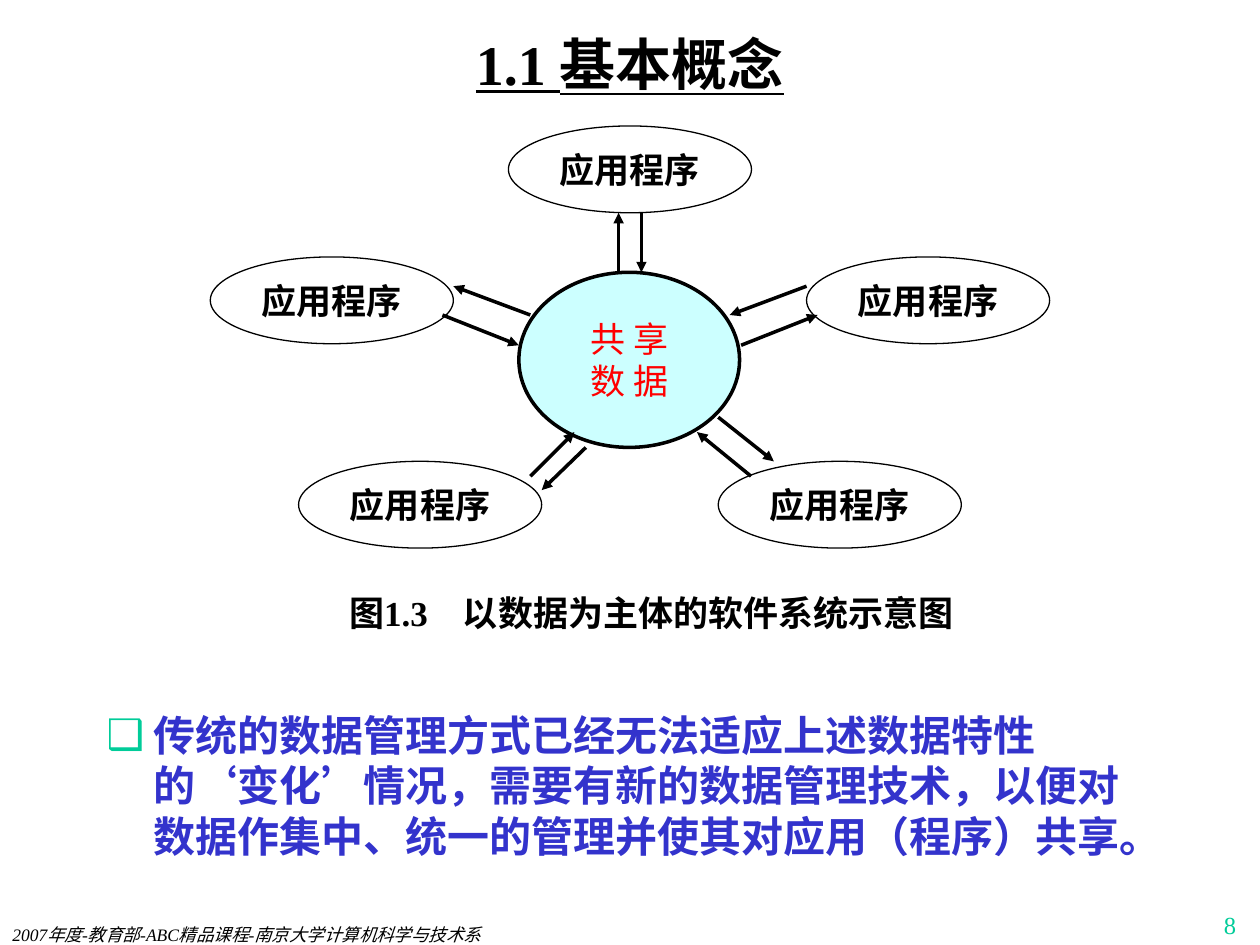
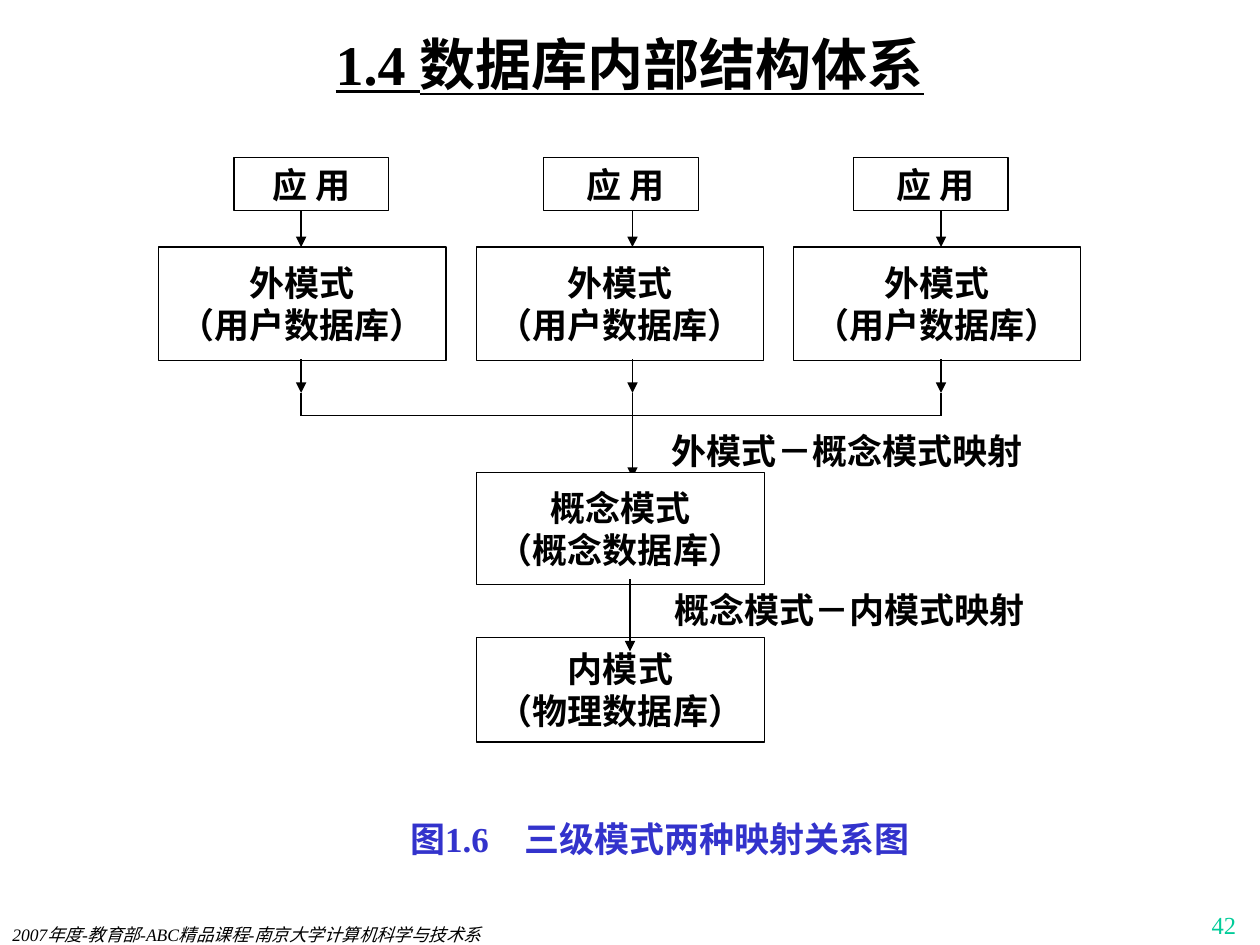
"""Build two database course slides: shared data diagram and three-level schema diagram."""
from lxml import etree
from pptx import Presentation
from pptx.dml.color import RGBColor
from pptx.enum.shapes import MSO_CONNECTOR, MSO_SHAPE
from pptx.enum.text import MSO_ANCHOR, MSO_AUTO_SIZE, PP_ALIGN
from pptx.oxml.ns import qn
from pptx.util import Cm, Pt

STRAIGHT = MSO_CONNECTOR.STRAIGHT
OVAL, RECT = MSO_SHAPE.OVAL, MSO_SHAPE.RECTANGLE
TOP, MIDDLE = MSO_ANCHOR.TOP, MSO_ANCHOR.MIDDLE
LEFT, CENTER, RIGHT = PP_ALIGN.LEFT, PP_ALIGN.CENTER, PP_ALIGN.RIGHT
NO_FIT = MSO_AUTO_SIZE.NONE

BLACK, WHITE, RED = "000000", "FFFFFF", "FF0000"
BLUE, GREEN, CYAN = "3333CC", "00CC99", "CCFFFF"
LATIN, HAN = "Times New Roman", "Noto Sans CJK SC"
FOOTER = "2007年度-教育部-ABC精品课程-南京大学计算机科学与技术系"


def put(sp, place, text, size=20, color=BLACK, align=CENTER, anchor=MIDDLE,
        margins=(0.25, 0.13), indent=0, fill=None, line=0.75, font=LATIN, **style):
    """Place a shape and write its formatted text."""
    sp.left, sp.top, sp.width, sp.height = [Cm(v) for v in place]
    if fill:
        sp.shadow.inherit = False
        sp.fill.solid()
        sp.fill.fore_color.rgb = RGBColor.from_string(fill)
        sp.line.color.rgb = RGBColor.from_string(BLACK)
        sp.line.width = Pt(line)
    side, edge = [Cm(v) for v in margins]
    tf = sp.text_frame
    frame = {"word_wrap": True, "auto_size": NO_FIT, "vertical_anchor": anchor,
             "margin_left": side + Cm(indent), "margin_right": side,
             "margin_top": edge, "margin_bottom": edge}
    for key, value in frame.items():
        setattr(tf, key, value)
    tf.text = text
    for p in tf.paragraphs:
        layout = {"alignment": align, "line_spacing": Pt(size * 1.2), "space_before": Pt(0)}
        for key, value in layout.items():
            setattr(p, key, value)
        r = p.runs[0]
        for key, value in {"name": font, "size": Pt(size), **style}.items():
            setattr(r.font, key, value)
        r.font.color.rgb = RGBColor.from_string(color)
        latin = r.font._element.find(qn("a:latin"))
        latin.addnext(latin.makeelement(qn("a:ea"), {"typeface": HAN}))
    return tf


def connect(s, x1, y1, x2, y2, width=0.75, arrow=True):
    """Draw a black line, with an arrowhead at its end if asked."""
    c = s.shapes.add_connector(STRAIGHT, Cm(x1), Cm(y1), Cm(x2), Cm(y2))
    c.line.color.rgb = RGBColor.from_string(BLACK)
    c.line.width = Pt(width)
    if arrow:
        etree.SubElement(c.line._get_or_add_ln(), qn("a:tailEnd"), type="triangle")
    etree.SubElement(c._element.spPr, qn("a:effectLst"))


prs = Presentation()
prs.slide_width, prs.slide_height = Cm(25.4), Cm(19.05)
zero = (0, 0, 0, 0)

pages = [(1, "1.1 基本概念", "8"), (5, "1.4 数据库内部结构体系", "42")]
for layout_index, title, number in pages:
    s = prs.slides.add_slide(prs.slide_layouts[layout_index])
    put(s.shapes.title, (1.9, 0.64, 21.6, 1.27), title, 32, margins=(0.25, 0),
        bold=True, underline=True)
    put(s.shapes.add_textbox(*zero), (0, 18.62, 13.97, 0.43), FOOTER, 10, align=LEFT,
        anchor=TOP, margins=(0.25, 0), italic=True)
    put(s.shapes.add_textbox(*zero), (19.89, 18.21, 5.28, 0.64), number, 14, GREEN,
        align=RIGHT, anchor=TOP)
data_slide, schema_slide = prs.slides

s = data_slide
tf = put(s.placeholders[1], (1.9, 14.17, 21.6, 3.81),
         "传统的数据管理方式已经无法适应上述数据特性的‘变化’情况，需要有新的数据管理技术，"
         "以便对数据作集中、统一的管理并使其对应用（程序）共享。",
         24, BLUE, align=LEFT, anchor=TOP, bold=True)
pPr = tf.paragraphs[0]._p.get_or_add_pPr()
pPr.set("marL", str(Cm(0.95)))
pPr.set("indent", str(Cm(-0.95)))
bullet_color = etree.SubElement(pPr, qn("a:buClr"))
etree.SubElement(bullet_color, qn("a:srgbClr"), val=GREEN)
etree.SubElement(pPr, qn("a:buChar"), char="❑")

center = 12.7
put(s.shapes.add_shape(OVAL, *zero), (10.46, 5.49, 4.45, 3.53), "共 享\n数 据",
    color=RED, fill=CYAN, line=2, font=HAN)
for dx, y in [(0, 2.54), (-6.01, 5.18), (6.01, 5.18), (4.23, 9.3), (-4.23, 9.3)]:
    put(s.shapes.add_shape(OVAL, *zero), (center + dx - 2.45, y, 4.9, 1.75), "应用程序",
        margins=(0, 0), fill=WHITE, bold=True)

data_flows = [
    (-0.23, 5.49, -0.23, 4.29), (0.23, 4.29, 0.23, 5.49),
    (-2.01, 6.35, -3.56, 5.77), (-3.78, 6.35, -2.24, 6.96),
    (3.56, 5.77, 2.01, 6.35), (2.24, 6.96, 3.78, 6.35),
    (-2.01, 9.6, -1.12, 8.71), (-0.89, 9.02, -1.78, 9.88),
    (2.44, 9.6, 1.35, 8.71), (1.78, 8.41, 2.9, 9.3),
]
for dx1, y1, dx2, y2 in data_flows:
    connect(s, center + dx1, y1, center + dx2, y2, width=2)
put(s.shapes.add_textbox(*zero), (5.77, 11.56, 14.73, 1.57),
    "图1.3　以数据为主体的软件系统示意图", bold=True)

s = schema_slide
flow_xs = [6.07, 12.75, 18.97]
for i, x in enumerate(flow_xs):
    put(s.shapes.add_shape(RECT, *zero), (4.72 + 6.24 * i, 3.18, 3.12, 1.07), "应 用",
        indent=0.2 if i else 0, fill=WHITE, bold=True)
    put(s.shapes.add_shape(RECT, *zero), (3.2 + 6.4 * i, 4.98, 5.79, 2.29),
        "外模式\n（用户数据库）", fill=WHITE, bold=True)
    connect(s, x, 4.24, x, 4.98)
    connect(s, x, 7.24, x, 7.92)
    connect(s, x, 7.92, x, 8.38, arrow=False)
connect(s, flow_xs[0], 8.38, flow_xs[-1], 8.38, arrow=False)
connect(s, flow_xs[1], 8.38, flow_xs[1], 9.63)

for y, height, text in [(9.53, 2.26, "概念模式\n（概念数据库）"),
                        (12.85, 2.11, "内模式\n（物理数据库）")]:
    put(s.shapes.add_shape(RECT, *zero), (9.6, y, 5.82, height), text, fill=WHITE, bold=True)
connect(s, center, 11.68, center, 13.13)

labels = [
    ((12.75, 8.43, 8.66, 1.32), "外模式－概念模式映射", BLACK, CENTER),
    ((13.34, 11.66, 7.85, 1.27), "概念模式－内模式映射", BLACK, LEFT),
    ((7.21, 16.33, 12.19, 1.14), "图1.6　三级模式两种映射关系图", BLUE, CENTER),
]
for place, text, color, align in labels:
    put(s.shapes.add_textbox(*zero), place, text, color=color, align=align, bold=True)

prs.save("out.pptx")
